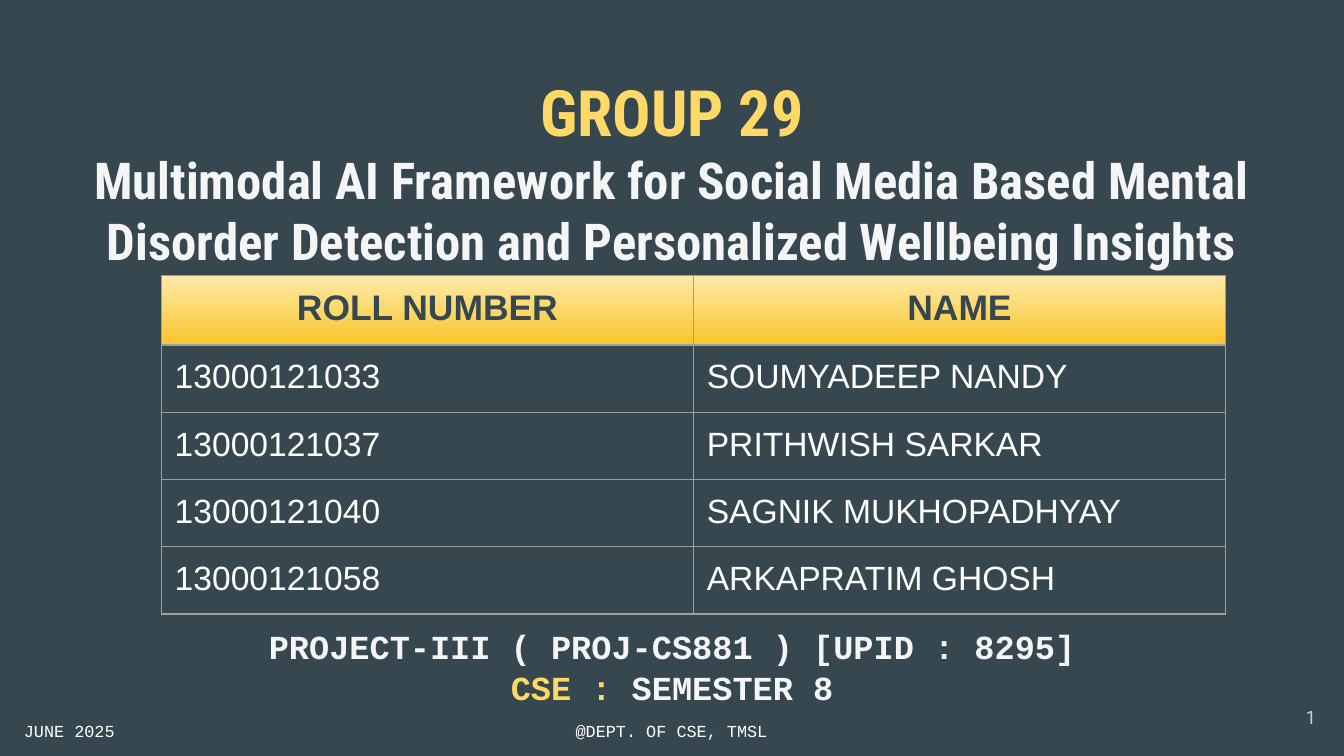
from pptx import Presentation
from pptx.dml.color import RGBColor
from pptx.enum.text import MSO_ANCHOR as Anchor, PP_ALIGN as Align
from pptx.oxml import parse_xml
from pptx.oxml.ns import nsdecls
from pptx.util import Pt

SLATE, GOLD, PALE, WHITE, GREY = "37474F", "FFD966", "F5F5F5", "FFFFFF", "9E9E9E"
MONO = "Courier New"
PAD = Pt(7.2)
TEAM = [
    ("13000121033", "SOUMYADEEP NANDY"),
    ("13000121037", "PRITHWISH SARKAR"),
    ("13000121040", "SAGNIK MUKHOPADHYAY"),
    ("13000121058", "ARKAPRATIM GHOSH"),
]


def rgb(code):
    return RGBColor.from_string(code)


def style(font, name, size, bold=False):
    font.name, font.size, font.bold = name, Pt(size), bold


def add_text(slide, box, lines, align=Align.CENTER, anchor=Anchor.TOP):
    """Each line is (font name, size, bold, [(text, colour), ...])."""
    frame = slide.shapes.add_textbox(*map(Pt, box)).text_frame
    frame.word_wrap = True
    frame.vertical_anchor = anchor
    frame.margin_left = frame.margin_right = PAD
    frame.margin_top = frame.margin_bottom = PAD
    for i, (name, size, bold, parts) in enumerate(lines):
        para = frame.add_paragraph() if i else frame.paragraphs[0]
        para.alignment = align
        style(para.font, name, size, bold)
        for text, color in parts:
            run = para.add_run()
            run.text = text
            run.font.color.rgb = rgb(color)


def set_edges(cell, color, width):
    props = cell._tc.get_or_add_tcPr()
    for i, side in enumerate("LRTB"):
        props.insert(i, parse_xml(
            f'<a:ln{side} {nsdecls("a")} w="{Pt(width)}"><a:solidFill>'
            f'<a:srgbClr val="{color}"/></a:solidFill></a:ln{side}>'))


def fill_head(cell):
    cell.fill.gradient()
    cell.fill.gradient_angle = 270
    for stop, color in zip(cell.fill.gradient_stops, ("FFE9A8", "F9C62C")):
        stop.color.rgb = rgb(color)


def set_cell(cell, text, head):
    cell.margin_left = cell.margin_right = PAD
    cell.margin_top = cell.margin_bottom = PAD
    if head:
        fill_head(cell)
    else:
        cell.fill.background()
    set_edges(cell, GREY, 0.75)
    para = cell.text_frame.paragraphs[0]
    para.text = text
    para.alignment = Align.CENTER if head else Align.LEFT
    style(para.font, "Arial", 19 if head else 18, head)
    para.font.color.rgb = rgb(SLATE if head else WHITE)


def add_roster(slide):
    rows = [("ROLL NUMBER", "NAME"), *TEAM]
    box = map(Pt, (86.4, 147.6, 570.2, 30.2 * len(rows)))
    table = slide.shapes.add_table(len(rows), 2, *box).table
    table.first_row = table.horz_banding = False
    for r, row in enumerate(rows):
        for c, text in enumerate(row):
            set_cell(table.cell(r, c), text, r == 0)


def main():
    deck = Presentation()
    deck.slide_width, deck.slide_height = Pt(720), Pt(405)
    slide = deck.slides.add_slide(deck.slide_layouts[6])
    back = slide.background.fill
    back.solid()
    back.fore_color.rgb = rgb(SLATE)

    topic = ("Multimodal AI Framework for Social Media Based Mental "
             "Disorder Detection and Personalized Wellbeing Insights")
    add_text(slide, (24.5, 31.7, 671, 115.2), [
        ("Roboto Condensed", 34.2, True, [("GROUP 29", GOLD)]),
        ("Roboto Condensed", 27.2, True, [(topic, PALE)]),
    ])
    add_roster(slide)
    add_text(slide, (16.6, 328.3, 686.9, 58.3), [
        (MONO, 18, True, [("PROJECT-III ( PROJ-CS881 ) [UPID : 8295]", PALE)]),
        (MONO, 18, True, [("CSE : ", GOLD), ("SEMESTER 8", PALE)]),
    ])
    add_text(slide, (668.9, 368.6, 43.2, 31),
             [("Roboto", 10, False, [("1", "CACACA")])],
             Align.RIGHT, Anchor.MIDDLE)
    for left, width, text in ((0, 74.2, "JUNE 2025"),
                              (279.4, 160.6, "@DEPT. OF CSE, TMSL")):
        add_text(slide, (left, 377.3, width, 28.1),
                 [(MONO, 9, False, [(text, WHITE)])], anchor=Anchor.MIDDLE)
    deck.save("out.pptx")


if __name__ == "__main__":
    main()
